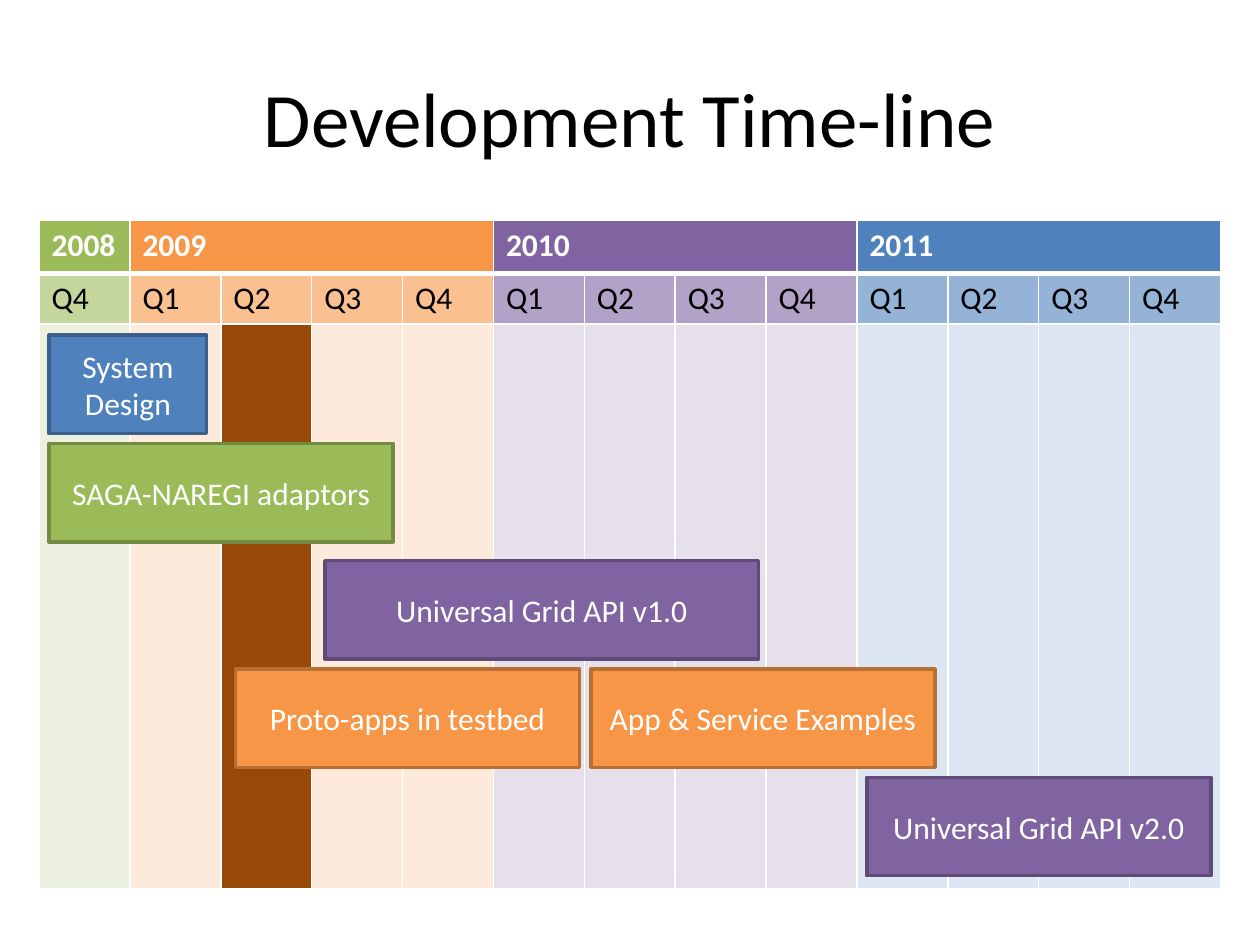
"""Build the development time-line slide: a quarterly table with task bars."""
from dataclasses import dataclass

from lxml import etree
from pptx import Presentation
from pptx import util as u
from pptx.dml.color import RGBColor
from pptx.enum import shapes, text
from pptx.oxml import ns


@dataclass(frozen=True)
class Theme:
    font: str = "Calibri"
    title_size: int = 44
    body_size: int = 18
    black: str = "000000"
    white: str = "FFFFFF"
    blue: tuple = ("4F81BD", "95B3D7", "DCE6F2", "3A5F8C")
    green: tuple = ("9BBB59", "C3D69B", "EBF1DE", "738A42")
    purple: tuple = ("8064A2", "B3A2C7", "E6E0EC", "5F4A78")
    orange: tuple = ("F79646", "FAC090", "FDEADA", "B76F34")
    current: str = "984807"


THEME = Theme()
YEARS = [
    ("2008", ["Q4"], THEME.green),
    ("2009", ["Q1", "Q2", "Q3", "Q4"], THEME.orange),
    ("2010", ["Q1", "Q2", "Q3", "Q4"], THEME.purple),
    ("2011", ["Q1", "Q2", "Q3", "Q4"], THEME.blue),
]
CURRENT_COLUMN = 2
ROW_HEIGHTS = [0.42, 0.4, 4.48]
BAR_HEIGHT = 0.78
TASKS = [
    ("System Design", 0.39, 2.66, 1.25, THEME.blue),
    ("SAGA-NAREGI adaptors", 0.39, 3.52, 2.73, THEME.green),
    ("Universal Grid API v1.0", 2.58, 4.45, 3.44, THEME.purple),
    ("App & Service Examples", 4.69, 5.31, 2.73, THEME.orange),
    ("Universal Grid API v2.0", 6.88, 6.17, 2.73, THEME.purple),
    ("Proto-apps in testbed", 1.87, 5.31, 2.73, THEME.orange),
]


def rgb(value):
    return RGBColor.from_string(value)


def write(tf, words, size, color, bold=False, align=None):
    p = tf.paragraphs[0]
    p.text = words
    p.alignment = align
    p.font.name = THEME.font
    p.font.size = u.Pt(size)
    p.font.bold = bold
    p.font.color.rgb = rgb(color)


def add_title(s, words):
    box = s.shapes.add_textbox(u.Inches(0.5), u.Inches(0.3), u.Inches(9), u.Inches(1.25))
    tf = box.text_frame
    tf.word_wrap = True
    tf.vertical_anchor = text.MSO_ANCHOR.MIDDLE
    write(tf, words, THEME.title_size, THEME.black, align=text.PP_ALIGN.CENTER)


def set_borders(cell, top=1, bottom=1):
    tc_pr = cell._tc.get_or_add_tcPr()
    for side, width in (("L", 1), ("R", 1), ("T", top), ("B", bottom)):
        ln = etree.SubElement(tc_pr, ns.qn(f"a:ln{side}"), w=str(u.Pt(width)))
        fill = etree.SubElement(ln, ns.qn("a:solidFill"))
        etree.SubElement(fill, ns.qn("a:srgbClr"), val=THEME.white)


def fill_cell(cell, color):
    cell.fill.solid()
    cell.fill.fore_color.rgb = rgb(color)


def add_calendar(s):
    columns = sum(len(quarters) for _, quarters, _ in YEARS)
    table = s.shapes.add_table(
        len(ROW_HEIGHTS), columns,
        u.Inches(0.31), u.Inches(1.75), u.Inches(9.38), u.Inches(sum(ROW_HEIGHTS)),
    ).table
    for row, height in zip(table.rows, ROW_HEIGHTS):
        row.height = u.Inches(height)
    col = 0
    for year, quarters, (dark, medium, light, _) in YEARS:
        first = table.cell(0, col)
        if len(quarters) > 1:
            first.merge(table.cell(0, col + len(quarters) - 1))
        write(first.text_frame, year, THEME.body_size, THEME.white, bold=True)
        for quarter in quarters:
            head, label, body = (table.cell(row, col) for row in range(3))
            set_borders(head, bottom=3)
            set_borders(label, top=3)
            set_borders(body)
            fill_cell(head, dark)
            fill_cell(label, medium)
            fill_cell(body, THEME.current if col == CURRENT_COLUMN else light)
            write(label.text_frame, quarter, THEME.body_size, THEME.black)
            col += 1


def add_task(s, words, left, top, width, palette):
    sp = s.shapes.add_shape(
        shapes.MSO_SHAPE.RECTANGLE,
        u.Inches(left), u.Inches(top), u.Inches(width), u.Inches(BAR_HEIGHT),
    )
    sp.shadow.inherit = False
    sp.fill.solid()
    sp.fill.fore_color.rgb = rgb(palette[0])
    sp.line.color.rgb = rgb(palette[3])
    sp.line.width = u.Pt(2)
    tf = sp.text_frame
    tf.word_wrap = True
    tf.vertical_anchor = text.MSO_ANCHOR.MIDDLE
    write(tf, words, THEME.body_size, THEME.white, align=text.PP_ALIGN.CENTER)


def main():
    prs = Presentation()
    prs.slide_width, prs.slide_height = u.Inches(10), u.Inches(7.5)
    s = prs.slides.add_slide(prs.slide_layouts[6])
    add_title(s, "Development Time-line")
    add_calendar(s)
    for task in TASKS:
        add_task(s, *task)
    prs.save("out.pptx")


if __name__ == "__main__":
    main()
